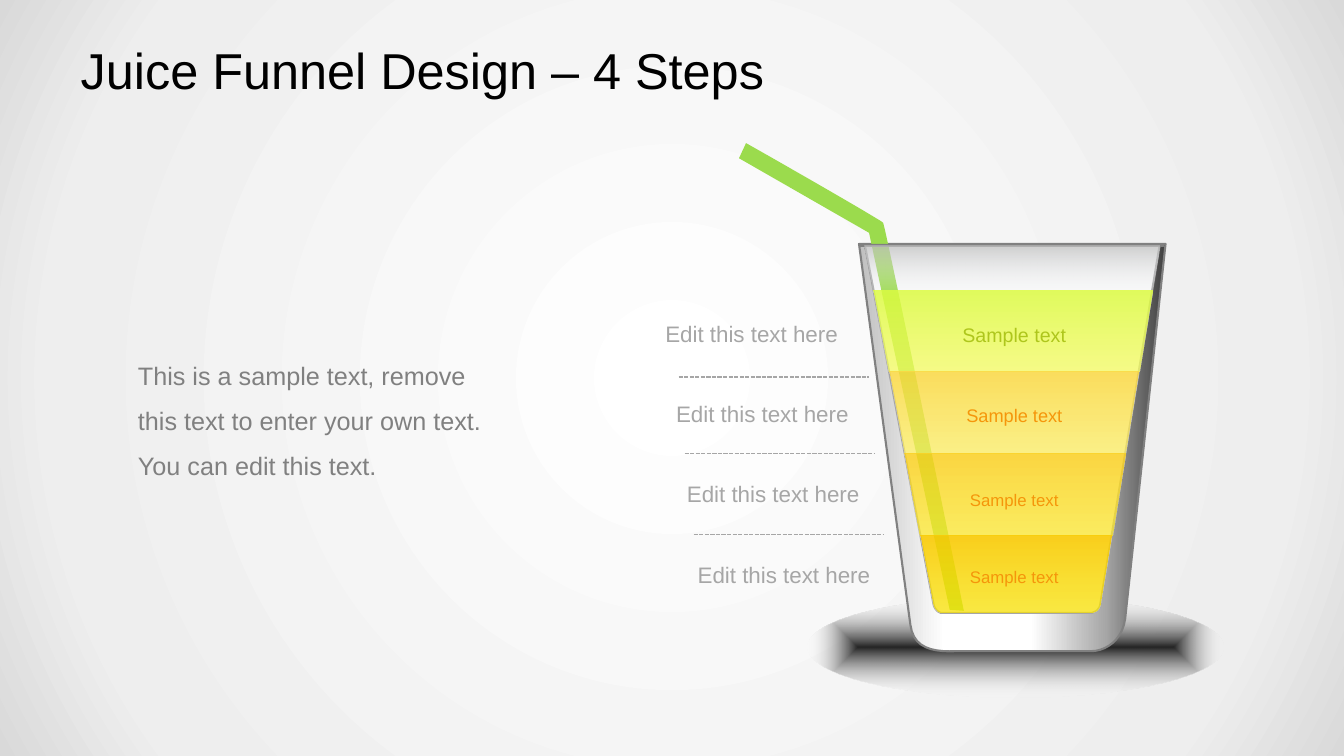
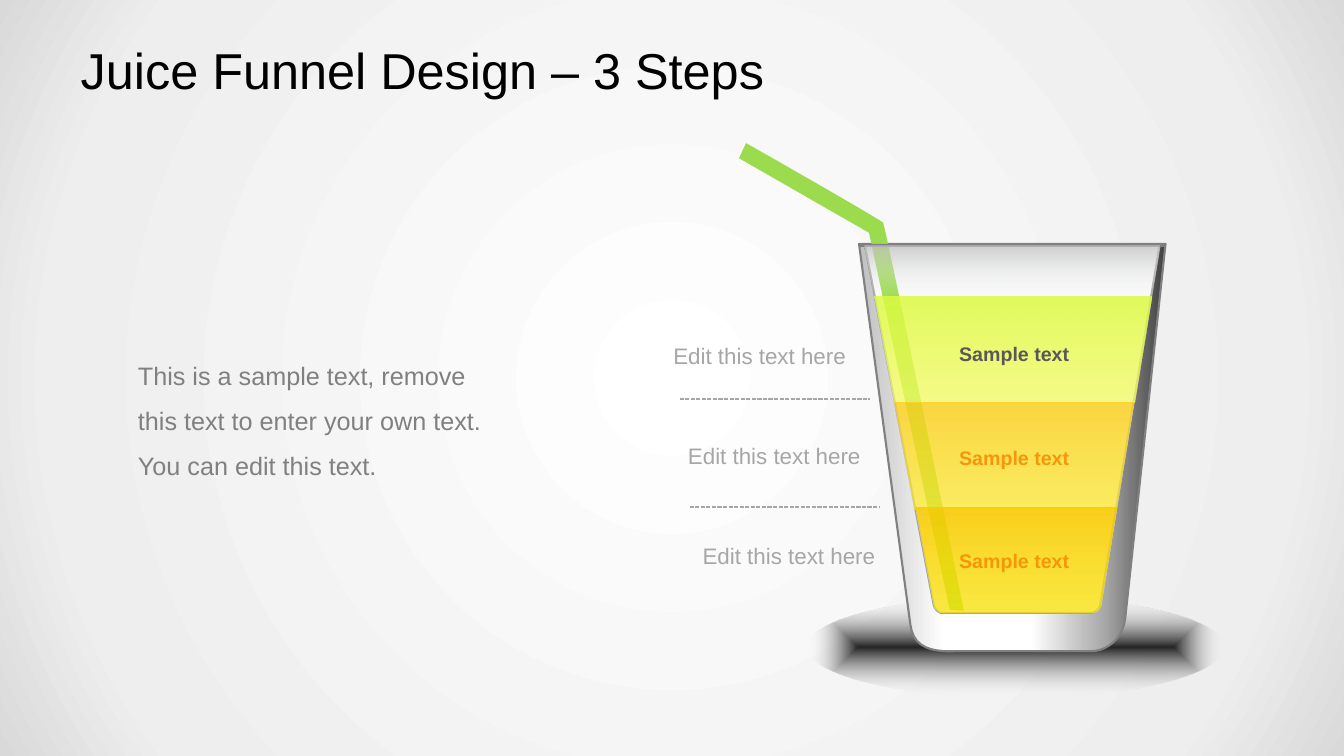
from lxml import etree
from pptx import Presentation
from pptx import util as u
from pptx.dml.color import RGBColor
from pptx.enum import dml, shapes, text
from pptx.oxml.ns import qn

FONT = "Arial"
BLACK = RGBColor(0x00, 0x00, 0x00)
CHARCOAL = RGBColor(0x26, 0x26, 0x26)
SLATE = RGBColor(0x40, 0x40, 0x40)
DARK = RGBColor(0x59, 0x59, 0x59)
GREY = RGBColor(0x80, 0x80, 0x80)
SILVER = RGBColor(0xA6, 0xA6, 0xA6)
STEEL = RGBColor(0xA8, 0xA8, 0xA8)
MIST = RGBColor(0xBF, 0xBF, 0xBF)
EDGE = RGBColor(0xD9, 0xD9, 0xD9)
PALE = RGBColor(0xEE, 0xEE, 0xEE)
FROST = RGBColor(0xF6, 0xF9, 0xFC)
PEARL = RGBColor(0xFA, 0xFA, 0xFA)
WHITE = RGBColor(0xFF, 0xFF, 0xFF)
STRAW = RGBColor(0x9B, 0xDB, 0x4D)
ORANGE = RGBColor(0xF5, 0x96, 0x0B)
OLIVE = RGBColor(0xAE, 0xC6, 0x1C)

# Gradient stops: (position %, colour, opacity %)
BACKDROP = [(0, WHITE, 100), (81, PALE, 100), (100, EDGE, 100)]
SHADE = [(0, CHARCOAL, 100), (100, WHITE, 0)]
GLASS = [(0, SLATE, 100), (20, STEEL, 100), (44, WHITE, 100),
         (72, WHITE, 100), (100, MIST, 100)]
GLOSS = [(85, FROST, 0), (100, MIST, 75)]
LIME = [(0, RGBColor(0xF5, 0xFC, 0x60), 75), (100, RGBColor(0xDD, 0xFC, 0x42), 85)]
LEMON = [(0, RGBColor(0xFC, 0xED, 0x60), 75), (100, RGBColor(0xFC, 0xD9, 0x42), 85)]
MANGO = [(0, RGBColor(0xFB, 0xE7, 0x2D), 75), (100, RGBColor(0xFB, 0xD1, 0x21), 85)]
AMBER = [(0, RGBColor(0xFA, 0xE3, 0x06), 75), (100, RGBColor(0xFA, 0xCC, 0x06), 91)]
UP, LEFTWARD = 270, 180

# Outlines: a pair is a corner, a six-tuple is a Bezier curve
TUMBLER = [(8.52, 2.42), (11.56, 2.42), (11.16, 6.14),
           (11.13, 6.35, 10.97, 6.46, 10.82, 6.46), (9.48, 6.46),
           (9.25, 6.47, 9.06, 6.43, 9.03, 6.2)]
STRAW_OUTLINE = [(9.42, 6.05), (8.62, 2.31), (7.33, 1.57), (7.4, 1.42),
                 (7.86, 1.68, 8.73, 2.18, 8.76, 2.21),
                 (8.78, 2.25, 9.3, 4.77, 9.56, 6.06)]
INNER_BASE = [(10.91, 6.01), (10.89, 6.06, 10.86, 6.07, 10.83, 6.08),
              (9.33, 6.08), (9.3, 6.07, 9.27, 6.04, 9.26, 6)]
RIM, CENTRE = 2.44, 10.06

INTRO = ("This is a sample text, remove this text to enter your own text. "
         "You can edit this text.")
STEP, CAPTION = "Sample text", "Edit this text here"
SLIDES = [
    dict(title="Juice Funnel Design – 4 Steps", surface=2.88, depth=0.81, bold=False,
         # juice, step text middle, size, colour
         juices=[(LIME, 3.32, 14, OLIVE), (LEMON, 4.12, 13, ORANGE),
                 (MANGO, 4.96, 12, ORANGE), (AMBER, 5.72, 12, ORANGE)],
         caption_at=(6.5, 2.85), caption_step=(0.107, 0.797), caption_width=2.01,
         dividers=[(6.73, 3.74), (6.79, 4.5), (6.88, 5.3)]),
    dict(title="Juice Funnel Design – 3 Steps", surface=2.94, depth=1.05, bold=True,
         juices=[(LIME, 3.51, 14, DARK), (MANGO, 4.54, 14, ORANGE),
                 (AMBER, 5.56, 14, ORANGE)],
         caption_at=(6.58, 3.07), caption_step=(0.145, 0.995), caption_width=2.21,
         dividers=[(6.74, 3.96), (6.84, 5.03)]),
]


def set_gradient(fill, parent, stops, angle=None, shade="circle"):
    """Give parent a linear gradient, or one from the centre when no angle is set."""
    fill.solid()
    grad = etree.Element(qn("a:gradFill"), rotWithShape="1")
    stop_list = etree.SubElement(grad, qn("a:gsLst"))
    for position, colour, opacity in stops:
        stop = etree.SubElement(stop_list, qn("a:gs"), pos=str(position * 1000))
        tone = etree.SubElement(stop, qn("a:srgbClr"), val=str(colour))
        if opacity < 100:
            etree.SubElement(tone, qn("a:alpha"), val=str(opacity * 1000))
    if angle is None:
        centre = etree.SubElement(grad, qn("a:path"), path=shade)
        etree.SubElement(centre, qn("a:fillToRect"),
                         {side: "50000" for side in "ltrb"})
    else:
        etree.SubElement(grad, qn("a:lin"), ang=str(angle * 60000), scaled="0")
    parent.replace(parent.find(qn("a:solidFill")), grad)


def paint(shape, paint_with, angle=None, outline=None):
    """Fill a shape with one colour or gradient stops, and set its outline."""
    shape.shadow.inherit = False
    if isinstance(paint_with, RGBColor):
        shape.fill.solid()
        shape.fill.fore_color.rgb = paint_with
    else:
        set_gradient(shape.fill, shape.element.spPr, paint_with, angle, "shape")
    if outline is None:
        shape.line.fill.background()
    else:
        shape.line.color.rgb = outline
        shape.line.width = u.Pt(1.5)


def flatten(outline, pieces=10):
    """Turn corners and Bezier curves into points in EMU."""
    points = []
    for node in outline:
        if len(node) == 2:
            points.append(node)
            continue
        corners = [points[-1], node[:2], node[2:4], node[4:]]
        for piece in range(1, pieces + 1):
            t = piece / pieces
            weights = ((1 - t) ** 3, 3 * t * (1 - t) ** 2, 3 * t * t * (1 - t), t ** 3)
            points.append(tuple(sum(w * c[axis] for w, c in zip(weights, corners))
                                for axis in (0, 1)))
    return [(u.Inches(x), u.Inches(y)) for x, y in points]


def draw(slide, outline, paint_with, angle=None, line=None):
    """Draw a closed outline."""
    start, *rest = flatten(outline)
    builder = slide.shapes.build_freeform(*start)
    builder.add_line_segments(rest, close=True)
    paint(builder.convert_to_shape(), paint_with, angle, line)


def inner_walls(y):
    """Return the left and right inner points of the glass at height y."""
    drop = y - RIM
    return [(8.58 + drop * 0.68 / 3.56, y), (11.5 - drop * 0.59 / 3.57, y)]


def write(slide, box, words, size, colour, bold=False, centred=False, spacing=None):
    """Add a text box, vertically centred."""
    frame = slide.shapes.add_textbox(*map(u.Inches, box)).text_frame
    frame.word_wrap = not centred
    frame.vertical_anchor = text.MSO_ANCHOR.MIDDLE
    paragraph = frame.paragraphs[0]
    paragraph.alignment = text.PP_ALIGN.CENTER if centred else text.PP_ALIGN.LEFT
    if spacing:
        paragraph.line_spacing = spacing
    run = paragraph.add_run()
    run.text = words
    run.font.name, run.font.size, run.font.bold = FONT, u.Pt(size), bold
    run.font.color.rgb = colour


def draw_divider(slide, x, y, length=1.89):
    """Draw a dashed rule between two captions."""
    rule = slide.shapes.add_connector(shapes.MSO_CONNECTOR.STRAIGHT,
                                      *map(u.Inches, (x, y, x + length, y)))
    rule.line.color.rgb = SILVER
    rule.line.width = u.Pt(1)
    rule.line.dash_style = dml.MSO_LINE.SQUARE_DOT
    etree.SubElement(rule.element.spPr, qn("a:effectLst"))


def style_master(deck, layout):
    """Set the shared background and title style."""
    master = deck.slide_master
    fill = master.background.fill
    fill.solid()
    set_gradient(fill, master.element.find(".//" + qn("p:bgPr")), BACKDROP)
    level = master.element.find(".//" + qn("p:titleStyle")).find(qn("a:lvl1pPr"))
    level.set("algn", "l")
    style = level.find(qn("a:defRPr"))
    style.set("sz", "3600")
    style.find(qn("a:latin")).set("typeface", FONT)
    for owner in (master, layout):
        title = next(p for p in owner.placeholders
                     if p.placeholder_format.type == shapes.PP_PLACEHOLDER.TITLE)
        title.left, title.top, title.width, title.height = map(
            u.Inches, (0.67, 0.3, 12, 0.78))
        frame = title.text_frame
        frame.vertical_anchor = text.MSO_ANCHOR.MIDDLE
        frame.margin_left = frame.margin_right = u.Inches(0.13)
        frame.margin_top = frame.margin_bottom = u.Inches(0.07)


def draw_glass(slide):
    """Draw the shadow, tumbler and straw."""
    shadow = slide.shapes.add_shape(shapes.MSO_SHAPE.OVAL,
                                    *map(u.Inches, (8.01, 5.92, 4.12, 1)))
    paint(shadow, SHADE)
    inside = inner_walls(RIM) + INNER_BASE
    draw(slide, TUMBLER, GLASS, LEFTWARD, GREY)
    draw(slide, inside, PEARL, line=SILVER)
    draw(slide, STRAW_OUTLINE, STRAW)
    lip = slide.shapes.add_shape(shapes.MSO_SHAPE.ROUNDED_RECTANGLE,
                                 *map(u.Inches, (8.52, 2.42, 3.03, 0.03)))
    lip.adjustments[0] = 0.5
    paint(lip, GREY)
    draw(slide, inside, GLOSS, UP)


def build_slide(deck, layout, content):
    """Build one juice funnel slide."""
    slide = deck.slides.add_slide(layout)
    run = slide.shapes.title.text_frame.paragraphs[0].add_run()
    run.text = content["title"]
    run.font.color.rgb = BLACK
    draw_glass(slide)

    juices, depth = content["juices"], content["depth"]
    for row, (juice, *_) in enumerate(juices):
        top = content["surface"] + row * depth
        last = row == len(juices) - 1
        floor = INNER_BASE if last else inner_walls(top + depth)[::-1]
        draw(slide, inner_walls(top) + floor, juice, UP)

    left, top = content["caption_at"]
    step_x, step_y = content["caption_step"]
    for row, (_, middle, size, colour) in enumerate(juices):
        write(slide, (CENTRE - 0.65, middle - 0.17, 1.3, 0.34), STEP, size, colour,
              content["bold"], centred=True)
        write(slide, (left + row * step_x, top + row * step_y,
                      content["caption_width"], 0.91), CAPTION, 16, SILVER)
    for x, y in content["dividers"]:
        draw_divider(slide, x, y)
    write(slide, (1.27, 3.18, 3.64, 1.83), INTRO, 18, GREY, spacing=1.5)


deck = Presentation()
deck.slide_width, deck.slide_height = u.Inches(13.33), u.Inches(7.5)
title_only = deck.slide_layouts[5]
style_master(deck, title_only)
for content in SLIDES:
    build_slide(deck, title_only, content)
deck.save("out.pptx")
